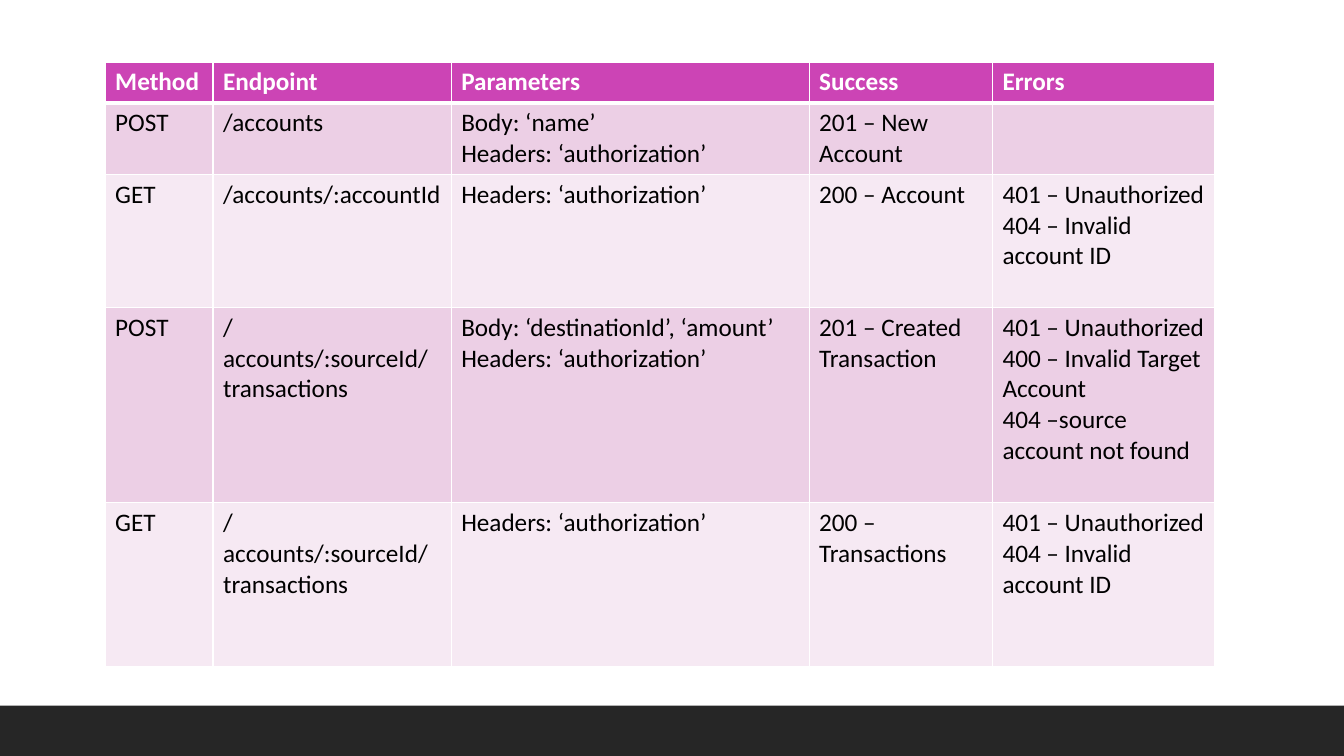
from lxml import etree
from pptx import Presentation
from pptx import util as u
from pptx.dml.color import RGBColor
from pptx.enum import shapes
from pptx.oxml import ns

WHITE = RGBColor(0xFF, 0xFF, 0xFF)
BLACK = RGBColor(0, 0, 0)
CHARCOAL = RGBColor(0x26, 0x26, 0x26)
MAGENTA = RGBColor(0xCC, 0x44, 0xB5)
PINK = RGBColor(0xEC, 0xCF, 0xE5)
PALE_PINK = RGBColor(0xF6, 0xE9, 0xF3)

AUTHORIZATION = "Headers: ‘authorization’"
UNAUTHORIZED = "401 – Unauthorized"
INVALID_ID = "404 – Invalid account ID"
TRANSACTIONS = "/accounts/:sourceId/transactions"

# Each line break in a cell starts a new paragraph
ROWS = [
    ["Method", "Endpoint", "Parameters", "Success", "Errors"],
    ["POST", "/accounts", f"Body: ‘name’\n{AUTHORIZATION}",
     "201 – New Account", ""],
    ["GET", "/accounts/:accountId", AUTHORIZATION, "200 – Account",
     f"{UNAUTHORIZED}\n{INVALID_ID}"],
    ["POST", TRANSACTIONS,
     f"Body: ‘destinationId’, ‘amount’\n{AUTHORIZATION}",
     "201 – Created Transaction",
     f"{UNAUTHORIZED}\n400 – Invalid Target Account\n"
     "404 –source account not found"],
    ["GET", TRANSACTIONS, AUTHORIZATION, "200 –Transactions",
     f"{UNAUTHORIZED}\n{INVALID_ID}"],
]
COLUMN_WIDTHS = [2.72, 6, 9.02, 4.62, 5.59]
ROW_HEIGHTS = [1.02, 1.8, 3.35, 4.92, 4.13]


def add_border(cell, side, points):
    """Draw one white edge of a table cell."""
    properties = cell._tc.get_or_add_tcPr()
    line = etree.SubElement(properties, ns.qn(f"a:ln{side}"),
                            w=str(u.Pt(points)))
    fill = etree.SubElement(line, ns.qn("a:solidFill"))
    etree.SubElement(fill, ns.qn("a:srgbClr"), val=str(WHITE))


deck = Presentation()
deck.slide_width = u.Cm(33.87)
deck.slide_height = u.Cm(19.05)
page = deck.slides.add_slide(deck.slide_layouts[6])

# Footer band
band = page.shapes.add_shape(shapes.MSO_SHAPE.RECTANGLE, 0, u.Cm(17.78),
                             deck.slide_width, u.Cm(1.27))
band.shadow.inherit = False
band.fill.solid()
band.fill.fore_color.rgb = CHARCOAL
band.line.fill.background()

# Endpoint table
table = page.shapes.add_table(
    len(ROWS), len(COLUMN_WIDTHS), u.Cm(2.65), u.Cm(1.56),
    u.Cm(sum(COLUMN_WIDTHS)), u.Cm(sum(ROW_HEIGHTS))).table
for column, width in zip(table.columns, COLUMN_WIDTHS):
    column.width = u.Cm(width)
for row, height in zip(table.rows, ROW_HEIGHTS):
    row.height = u.Cm(height)

# Cell text, borders and banding
for row_index, row in enumerate(ROWS):
    header = row_index == 0
    shade = MAGENTA if header else PINK if row_index % 2 else PALE_PINK
    for column_index, words in enumerate(row):
        cell = table.cell(row_index, column_index)
        cell.text = words
        for paragraph in cell.text_frame.paragraphs:
            paragraph.font.name = "Calibri"
            paragraph.font.size = u.Pt(18)
            paragraph.font.bold = header
            paragraph.font.color.rgb = WHITE if header else BLACK
        for side in "LRTB":
            under_header = (row_index, side) in [(0, "B"), (1, "T")]
            add_border(cell, side, 3 if under_header else 1)
        cell.fill.solid()
        cell.fill.fore_color.rgb = shade

deck.save("out.pptx")
